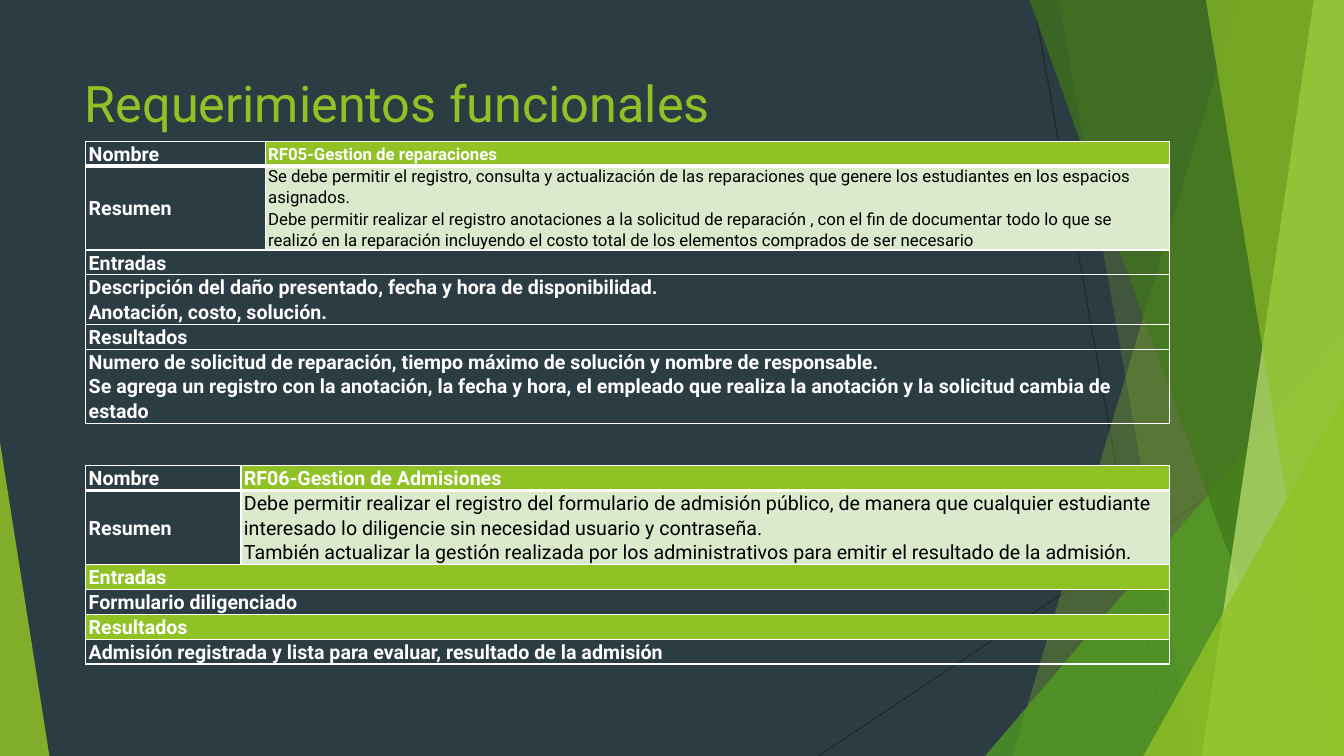
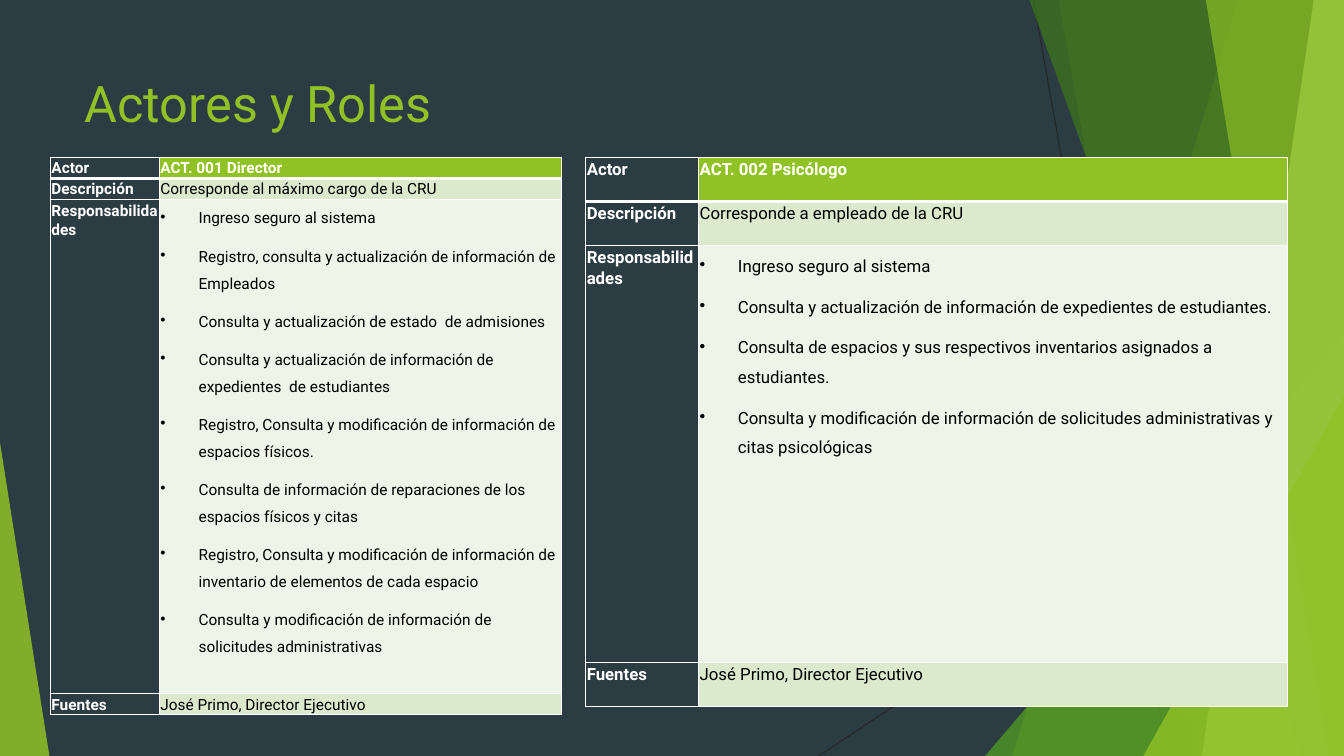
from dataclasses import dataclass
from typing import Optional, Union

from lxml import etree
from pptx import Presentation
from pptx.dml.color import RGBColor
from pptx.enum.shapes import MSO_CONNECTOR, MSO_SHAPE
from pptx.enum.text import MSO_ANCHOR, PP_ALIGN
from pptx.oxml.ns import qn
from pptx.util import Inches, Pt

STRAIGHT = MSO_CONNECTOR.STRAIGHT
TRIANGLE = MSO_SHAPE.ISOSCELES_TRIANGLE
TOP, MIDDLE = MSO_ANCHOR.TOP, MSO_ANCHOR.MIDDLE
LEFT = PP_ALIGN.LEFT
TITLE_ONLY = 5
NO_STYLE = "{2D5ABB26-0587-4C30-8999-92F81FD0307C}"
WIDTH, HEIGHT = 13.33, 7.5


@dataclass(frozen=True)
class Theme:
    background: str = "2C3C43"
    green: str = "90C226"
    leaf: str = "54A021"
    forest: str = "3F7819"
    lime: str = "C0E474"
    pale: str = "DBE9CD"
    paler: str = "EEF4E8"
    white: str = "FFFFFF"
    black: str = "000000"
    hairline: str = "262626"
    font: str = "Roboto"
    title_size: int = 36
    large: int = 14
    medium: int = 12
    small: int = 11
    line_spacing: float = 1.07
    list_spacing: float = 1.5
    list_gap: int = 8
    list_indent: float = 0.38
    border: int = 1
    header_border: int = 3


THEME = Theme()


# Content model
@dataclass(frozen=True)
class Band:
    """Quadrilateral from a slanted left edge to the right slide edge."""
    top_x: float
    bottom_x: float
    color: str
    opacity: int


@dataclass(frozen=True)
class Corner:
    """Triangle standing on the bottom slide edge."""
    left: float
    width: float
    height: float
    apex: float
    color: str
    opacity: int


@dataclass(frozen=True)
class CellStyle:
    fill: Optional[str]
    color: str
    bold: bool = False
    bulleted: bool = False


LABEL = CellStyle(None, THEME.white, bold=True)
HEADER = CellStyle(THEME.green, THEME.white, bold=True)
BODY = CellStyle(THEME.pale, THEME.black)
DUTIES = CellStyle(THEME.paler, THEME.black, bulleted=True)


@dataclass(frozen=True)
class Row:
    """Label with an optional value; without a value the label spans the row."""
    height: float
    label: str
    value: Optional[str] = None
    value_style: CellStyle = BODY
    label_style: CellStyle = LABEL


@dataclass(frozen=True)
class CellBox:
    anchor: MSO_ANCHOR
    side: float
    edge: float


@dataclass(frozen=True)
class Sheet:
    left: float
    top: float
    columns: tuple[float, float]
    label_size: int
    value_size: int
    box: CellBox
    rows: list[Row]


REQUIREMENT_BOX = CellBox(MIDDLE, 0.03, 0)
ACTOR_BOX = CellBox(TOP, 0.01, 0.01)

RAYS = [((10.25, 0), (11.58, HEIGHT)), ((WIDTH, 4.03), (8.12, HEIGHT))]
FACETS: list[Union[Band, Corner]] = [
    Band(12.28, 10.04, THEME.green, 30),
    Band(10.5, 11.83, THEME.green, 20),
    Corner(9.77, 3.56, 4.17, 1, THEME.leaf, 72),
    Band(10.21, 12.91, THEME.forest, 70),
    Band(13.03, 11.92, THEME.lime, 70),
    Band(11.96, 13.18, THEME.green, 65),
    Corner(11.34, 1.99, 3.57, 1, THEME.green, 80),
    Corner(0, 0.49, 3.11, 0, THEME.green, 85),
]


# Shared backdrop and title
def draw_ray(slide, start: tuple, end: tuple) -> None:
    ray = slide.shapes.add_connector(STRAIGHT, *map(Inches, start + end))
    ray.line.color.rgb = RGBColor.from_string(THEME.hairline)
    ray.line.width = Pt(0.75)
    etree.SubElement(ray.element.spPr, qn("a:effectLst"))


def draw_facet(slide, facet: Union[Band, Corner]) -> None:
    if isinstance(facet, Band):
        outline = slide.shapes.build_freeform(Inches(facet.top_x), 0)
        corners = [(WIDTH, 0), (WIDTH, HEIGHT), (facet.bottom_x, HEIGHT)]
        outline.add_line_segments([(Inches(x), Inches(y)) for x, y in corners])
        shape = outline.convert_to_shape()
    else:
        shape = slide.shapes.add_shape(
            TRIANGLE, Inches(facet.left), Inches(HEIGHT - facet.height),
            Inches(facet.width), Inches(facet.height))
        shape.adjustments[0] = facet.apex
    shape.shadow.inherit = False
    shape.line.fill.background()
    shape.fill.solid()
    shape.fill.fore_color.rgb = RGBColor.from_string(facet.color)
    color = shape.element.spPr.find(qn("a:solidFill")).find(qn("a:srgbClr"))
    etree.SubElement(color, qn("a:alpha"), val=str(facet.opacity * 1000))


def format_runs(paragraph, size: int, color: str, bold: bool) -> None:
    for run in paragraph.runs:
        run.font.name = THEME.font
        run.font.size = Pt(size)
        run.font.bold = bold
        run.font.color.rgb = RGBColor.from_string(color)


def add_titled_slide(deck, heading: str, title_height: float):
    slide = deck.slides.add_slide(deck.slide_layouts[TITLE_ONLY])
    for start, end in RAYS:
        draw_ray(slide, start, end)
    for facet in FACETS:
        draw_facet(slide, facet)
    title = slide.shapes.title
    title.left, title.top = Inches(0.74), Inches(0.67)
    title.width, title.height = Inches(9.4), Inches(title_height)
    title.text_frame.text = heading
    title.text_frame.vertical_anchor = TOP
    paragraph = title.text_frame.paragraphs[0]
    paragraph.alignment = LEFT
    format_runs(paragraph, THEME.title_size, THEME.green, False)
    slide.shapes.element.append(title.element)  # title in front of the backdrop
    return slide


# Tables
def set_borders(cell, row_index: int) -> None:
    properties = cell._tc.get_or_add_tcPr()
    thick = {(0, "B"), (1, "T")}
    for side in "LRTB":
        width = THEME.header_border if (row_index, side) in thick else THEME.border
        line = etree.SubElement(properties, qn(f"a:ln{side}"), w=str(Pt(width)))
        fill = etree.SubElement(line, qn("a:solidFill"))
        etree.SubElement(fill, qn("a:srgbClr"), val=THEME.white)


def set_bullet(paragraph) -> None:
    paragraph.line_spacing = THEME.list_spacing
    paragraph.space_after = Pt(THEME.list_gap)
    properties = paragraph._p.get_or_add_pPr()
    indent = Inches(THEME.list_indent)
    properties.set("marL", str(indent))
    properties.set("indent", str(-indent))
    etree.SubElement(properties, qn("a:buChar"), char="•")


def fill_cell(cell, text: str, style: CellStyle, size: int, box: CellBox) -> None:
    cell.margin_left = cell.margin_right = Inches(box.side)
    cell.margin_top = cell.margin_bottom = Inches(box.edge)
    cell.vertical_anchor = box.anchor
    if style.fill:
        cell.fill.solid()
        cell.fill.fore_color.rgb = RGBColor.from_string(style.fill)
    else:
        cell.fill.background()
    cell.text_frame.text = text
    for paragraph in cell.text_frame.paragraphs:
        paragraph.line_spacing = THEME.line_spacing
        if style.bulleted:
            set_bullet(paragraph)
        format_runs(paragraph, size, style.color, style.bold)


def draw_sheet(slide, sheet: Sheet) -> None:
    frame = slide.shapes.add_table(
        len(sheet.rows), len(sheet.columns), Inches(sheet.left), Inches(sheet.top),
        Inches(sum(sheet.columns)), Inches(sum(row.height for row in sheet.rows)))
    table = frame.table
    table.first_row = table.horz_banding = False
    for style_id in frame.element.iter(qn("a:tableStyleId")):
        style_id.text = NO_STYLE
    for column, width in zip(table.columns, sheet.columns):
        column.width = Inches(width)
    for index, row in enumerate(sheet.rows):
        table.rows[index].height = Inches(row.height)
        label, value = table.cell(index, 0), table.cell(index, 1)
        for cell in (label, value):
            set_borders(cell, index)
        fill_cell(label, row.label, row.label_style, sheet.label_size, sheet.box)
        if row.value is None:
            label.merge(value)
        else:
            fill_cell(value, row.value, row.value_style, sheet.value_size, sheet.box)


# Slide content
REPAIRS = Sheet(0.85, 1.4, (1.78, 8.97), THEME.large, THEME.medium, REQUIREMENT_BOX, [
    Row(0.24, "Nombre", "RF05-Gestion de reparaciones", HEADER),
    Row(0.83, "Resumen",
        "Se debe permitir el registro, consulta y actualización de las reparaciones que "
        "genere los estudiantes en los espacios asignados.\n"
        "Debe permitir realizar el registro anotaciones a la solicitud de reparación , con "
        "el fin de documentar todo lo que se realizó en la reparación incluyendo el costo "
        "total de los elementos comprados de ser necesario"),
    Row(0.24, "Entradas"),
    Row(0.49, "Descripción del daño presentado, fecha y hora de disponibilidad.\n"
        "Anotación, costo, solución."),
    Row(0.24, "Resultados"),
    Row(0.73, "Numero de solicitud de reparación, tiempo máximo de solución y nombre de "
        "responsable.\nSe agrega un registro con la anotación, la fecha y hora, el empleado "
        "que realiza la anotación y la solicitud cambia de estado"),
])
ADMISSIONS = Sheet(0.85, 4.62, (1.54, 9.21), THEME.large, THEME.large, REQUIREMENT_BOX, [
    Row(0.24, "Nombre", "RF06-Gestion de Admisiones", HEADER),
    Row(0.73, "Resumen",
        "Debe permitir realizar el registro del formulario de admisión público, de manera "
        "que cualquier estudiante interesado lo diligencie sin necesidad usuario y "
        "contraseña.\nTambién actualizar la gestión realizada por los administrativos para "
        "emitir el resultado de la admisión."),
    Row(0.24, "Entradas", label_style=HEADER),
    Row(0.24, "Formulario diligenciado"),
    Row(0.24, "Resultados", label_style=HEADER),
    Row(0.24, "Admisión registrada y lista para evaluar, resultado de la admisión"),
])


def actor_rows(line: float, main: float, actor: str, role: str, duties: list[str]) -> list[Row]:
    return [
        Row(line, "Actor", actor, HEADER),
        Row(line, "Descripción", role),
        Row(main, "Responsabilidades", "\n".join(duties), DUTIES),
        Row(line, "Fuentes", "José Primo, Director Ejecutivo"),
    ]


DIRECTOR = Sheet(0.5, 1.56, (1.08, 3.99), THEME.small, THEME.small, ACTOR_BOX, actor_rows(
    0.2, 4.9, "ACT. 001 Director", "Corresponde al máximo cargo de la CRU", [
        "Ingreso seguro al sistema",
        "Registro, consulta y actualización de información de Empleados",
        "Consulta y actualización de estado  de admisiones",
        "Consulta y actualización de información de expedientes  de estudiantes",
        "Registro, Consulta y modificación de información de espacios físicos.",
        "Consulta de información de reparaciones de los espacios físicos y citas",
        "Registro, Consulta y modificación de información de inventario de elementos de "
        "cada espacio",
        "Consulta y modificación de información de solicitudes administrativas",
    ]))
PSYCHOLOGIST = Sheet(5.81, 1.56, (1.12, 5.84), THEME.medium, THEME.medium, ACTOR_BOX, actor_rows(
    0.44, 4.13, "ACT. 002 Psicólogo", "Corresponde a empleado de la CRU", [
        "Ingreso seguro al sistema",
        "Consulta y actualización de información de expedientes de estudiantes.",
        "Consulta de espacios y sus respectivos inventarios asignados a estudiantes.",
        "Consulta y modificación de información de solicitudes administrativas y citas "
        "psicológicas",
    ]))


def main() -> None:
    deck = Presentation()
    deck.slide_width, deck.slide_height = Inches(WIDTH), Inches(HEIGHT)
    backdrop = deck.slide_master.background.fill
    backdrop.solid()
    backdrop.fore_color.rgb = RGBColor.from_string(THEME.background)
    for heading, title_height, sheets in [
        ("Requerimientos funcionales", 1.44, (REPAIRS, ADMISSIONS)),
        ("Actores y Roles", 0.74, (DIRECTOR, PSYCHOLOGIST)),
    ]:
        slide = add_titled_slide(deck, heading, title_height)
        for sheet in sheets:
            draw_sheet(slide, sheet)
    deck.save("out.pptx")


if __name__ == "__main__":
    main()
